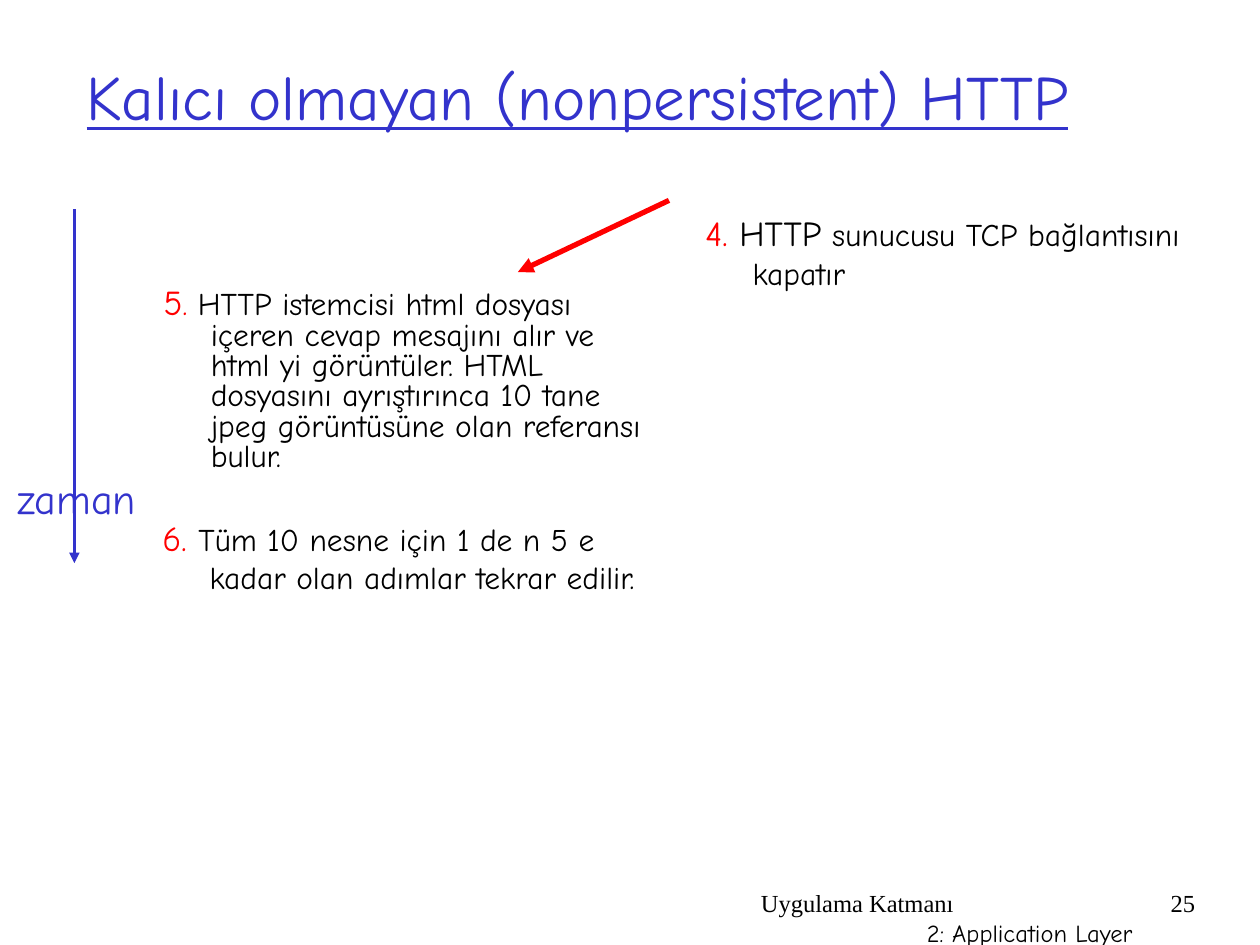
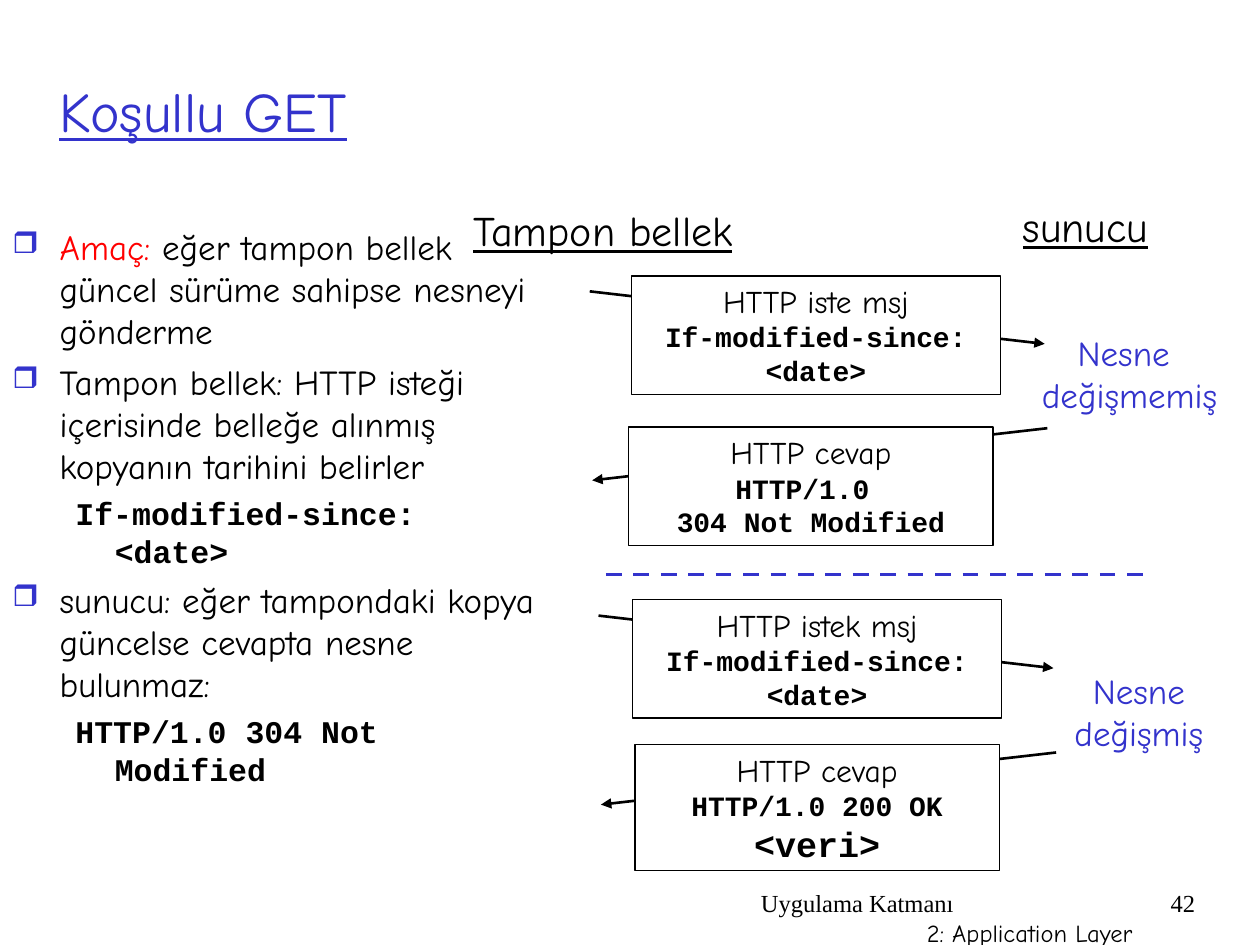
"""Build two slides on nonpersistent HTTP and the conditional GET."""
from lxml import etree
from pptx import Presentation
from pptx.dml.color import RGBColor
from pptx.enum.dml import MSO_LINE
from pptx.enum.shapes import MSO_CONNECTOR, MSO_SHAPE
from pptx.enum.text import MSO_ANCHOR, MSO_AUTO_SIZE, PP_ALIGN
from pptx.oxml.ns import qn
from pptx.util import Pt

LEFT, CENTER, RIGHT = PP_ALIGN.LEFT, PP_ALIGN.CENTER, PP_ALIGN.RIGHT
TOP, MIDDLE = MSO_ANCHOR.TOP, MSO_ANCHOR.MIDDLE
FIT, FIXED = MSO_AUTO_SIZE.SHAPE_TO_FIT_TEXT, MSO_AUTO_SIZE.NONE
STRAIGHT, RECTANGLE, DASH = MSO_CONNECTOR.STRAIGHT, MSO_SHAPE.RECTANGLE, MSO_LINE.DASH


class Theme:
    """Colours, fonts and type sizes."""
    blue = RGBColor(0x33, 0x33, 0xCC)
    red = RGBColor(0xFF, 0, 0)
    black = RGBColor(0, 0, 0)
    white = RGBColor(0xFF, 0xFF, 0xFF)
    hand, code, serif = "Comic Neue", "Courier New", "Times New Roman"
    footer, small_code, body, lead, heading = Pt(14), Pt(16), Pt(18), Pt(20), Pt(24)
    title_sizes = {25: Pt(36), 42: Pt(32)}


def write(box, paragraphs, wrap=True, anchor=TOP, fit=FIXED):
    """Fill a box with paragraphs, each a format dict and a list of spans."""
    frame = box.text_frame
    frame.word_wrap, frame.vertical_anchor, frame.auto_size = wrap, anchor, fit
    for index, (layout, spans) in enumerate(paragraphs):
        para = frame.paragraphs[0] if index == 0 else frame.add_paragraph()
        layout = dict(layout)
        margin, hanging = layout.pop("indent", (0, 0))
        bullet = layout.pop("bullet", None)
        properties = para._p.get_or_add_pPr()
        properties.set("marL", str(Pt(margin)))
        properties.set("indent", str(Pt(-hanging)))
        if bullet:
            color = etree.SubElement(properties, qn("a:buClr"))
            etree.SubElement(color, qn("a:srgbClr"), val=str(Theme.blue))
            etree.SubElement(properties, qn("a:buSzPct"), val="85000")
            etree.SubElement(properties, qn("a:buChar"), char=bullet)
        if index == 0:
            layout["space_before"] = Pt(0)
        for name, value in layout.items():
            setattr(para, name, value)
        for text, style in spans:
            span = para.add_run()
            span.text = text
            style = dict(style)
            span.font.color.rgb = style.pop("color", Theme.black)
            for name, value in style.items():
                setattr(span.font, name, value)


def draw_line(page, start, end, color, width, dash=None):
    """Draw a dashed line, or an arrow when no dash is given."""
    line = page.shapes.add_connector(STRAIGHT, *map(Pt, start + end))
    line.line.color.rgb = color
    line.line.width = Pt(width)
    if dash:
        line.line.dash_style = dash
    else:
        etree.SubElement(line.line._get_or_add_ln(), qn("a:tailEnd"), type="triangle")
    etree.SubElement(line._element.spPr, qn("a:effectLst"))


BODY = {"name": Theme.hand, "size": Theme.body}
LEAD = {"name": Theme.hand, "size": Theme.lead}
NUMBER = LEAD | {"color": Theme.red}
NOTE = LEAD | {"color": Theme.blue}
HEADING = {"name": Theme.hand, "size": Theme.heading}
CODE = {"name": Theme.code, "size": Theme.body, "bold": True}
SMALL_CODE = CODE | {"size": Theme.small_code}
BIG_CODE = CODE | {"size": Theme.lead}
FOOTER = {"name": Theme.serif, "size": Theme.footer}
CENTERED = {"alignment": CENTER}
STEP = {"indent": (27, 27)}
POINT = STEP | {"bullet": "❒", "space_before": Pt(5)}
HEADER_LINE = {"indent": (58.5, 22.5), "space_before": Pt(4.5), "level": 1}

deck = Presentation()
deck.slide_width, deck.slide_height = Pt(720), Pt(540)

titles = [
    (25, "Kalıcı olmayan (nonpersistent) HTTP", (42.5, 20.2, 640.8, 68.4)),
    (42, "Koşullu GET", (26.8, 18, 627.1, 90)),
]
pages = []
for number, title, place in titles:
    page = deck.slides.add_slide(deck.slide_layouts[6])
    pages.append(page)
    title_style = {"name": Theme.hand, "size": Theme.title_sizes[number],
                   "color": Theme.blue, "underline": True}
    footer_lines = [
        ({"alignment": LEFT, "indent": (1.5, 0)}, [("Uygulama Katmanı", FOOTER)]),
        ({"alignment": RIGHT}, [("2: Application Layer", FOOTER | {"name": Theme.hand})]),
    ]
    write(page.shapes.add_textbox(Pt(426.2), Pt(504), Pt(228.2), Pt(36)), footer_lines)
    write(page.shapes.add_textbox(Pt(654), Pt(504), Pt(36), Pt(36)),
          [({"alignment": RIGHT}, [(str(number), FOOTER)])])
    write(page.shapes.add_textbox(*map(Pt, place)), [({}, [(title, title_style)])], anchor=MIDDLE)

steps_page, get_page = pages

steps = [
    ((86.4, 161.3, 293, 121), {"line_spacing": 0.8}, [
        ("5", NUMBER), (".", BODY | {"color": Theme.red}),
        (" HTTP istemcisi html dosyası içeren cevap mesajını alır ve html yi görüntüler. "
         "HTML dosyasını ayrıştırınca 10 tane jpeg görüntüsüne olan referansı bulur.", BODY)]),
    ((85.7, 291.6, 300.2, 52.6), {}, [
        ("6. ", NUMBER), ("Tüm 10 nesne için 1 de n 5 e kadar olan adımlar tekrar edilir.", BODY)]),
    ((396, 117.4, 300.2, 57.6), {}, [
        ("4.", NUMBER), (" HTTP", LEAD), (" sunucusu TCP bağlantısını kapatır", BODY)]),
]
for place, spacing, spans in steps:
    write(steps_page.shapes.add_textbox(*map(Pt, place)), [(STEP | spacing, spans)])

draw_line(steps_page, (42.5, 119.5), (42.5, 321.8), Theme.blue, 1.5)
write(steps_page.shapes.add_textbox(Pt(1), Pt(266.4), Pt(86), Pt(36)),
      [(CENTERED, [("zaman", HEADING | {"color": Theme.blue})])], wrap=False, fit=FIT)
draw_line(steps_page, (382.3, 114.5), (295.9, 155.5), Theme.red, 3)

points = [
    (POINT, [("Amaç: ", NUMBER),
             ("eğer tampon bellek güncel sürüme sahipse nesneyi gönderme", LEAD)]),
    (POINT, [("Tampon bellek: HTTP isteği içerisinde belleğe alınmış kopyanın "
              "tarihini belirler", LEAD)]),
    (HEADER_LINE, [("If-modified-since: <date>", CODE)]),
    (POINT, [("sunucu: eğer tampondaki kopya güncelse cevapta nesne bulunmaz:", LEAD)]),
    (HEADER_LINE, [("HTTP/1.0 304 Not Modified", CODE)]),
]
write(get_page.shapes.add_textbox(Pt(0), Pt(125.3), Pt(318.2), Pt(339.1)), points)

request_header = ("If-modified-since: <date>", SMALL_CODE)
request_arrow = ((337, 166.5), (597, 196.5))
reply_arrow = ((598.5, 244.7), (338.4, 274.5))
first_round, second_round = (0, 0), (5, 185.3)
messages = [
    (request_arrow, first_round, (360.7, 157.7, 211, 67.7),
     [("HTTP iste msj", BODY), request_header]),
    (reply_arrow, first_round, (359.3, 244.1, 208.1, 67.7),
     [("HTTP cevap", BODY), ("HTTP/1.0 ", SMALL_CODE), ("304 Not Modified", SMALL_CODE)]),
    (request_arrow, second_round, (361.4, 342.7, 211, 67.7),
     [("HTTP istek msj", BODY), request_header]),
    (reply_arrow, second_round, (362.9, 425.5, 208.1, 72),
     [("HTTP cevap", BODY), ("HTTP/1.0 200 OK", SMALL_CODE), ("<veri>", BIG_CODE)]),
]
for arrow, (right, down), place, lines in messages:
    start, end = [(x + right, y + down) for x, y in arrow]
    draw_line(get_page, start, end, Theme.black, 1.5)
    message = get_page.shapes.add_shape(RECTANGLE, *map(Pt, place))
    message.shadow.inherit = False
    message.fill.solid()
    message.fill.fore_color.rgb = Theme.white
    message.line.color.rgb = Theme.black
    message.line.width = Pt(0.75)
    write(message, [(CENTERED, [line]) for line in lines], fit=FIT)

draw_line(get_page, (346.3, 328.3), (653.8, 328.3), Theme.blue, 2.25, DASH)

underlined = HEADING | {"underline": True}
labels = [
    ((260.5, 113.2, 168, 36), ["Tampon bellek"], underlined),
    ((574.8, 110.9, 91, 36), ["sunucu"], underlined),
    ((586.5, 185.8, 118, 55.4), ["Nesne ", "değişmemiş"], NOTE),
    ((605, 378.9, 91.6, 79.2), ["Nesne", "değişmiş"], NOTE),
]
for place, lines, style in labels:
    write(get_page.shapes.add_textbox(*map(Pt, place)),
          [(CENTERED, [(line, style)]) for line in lines], wrap=False, fit=FIT)

deck.save("out.pptx")
